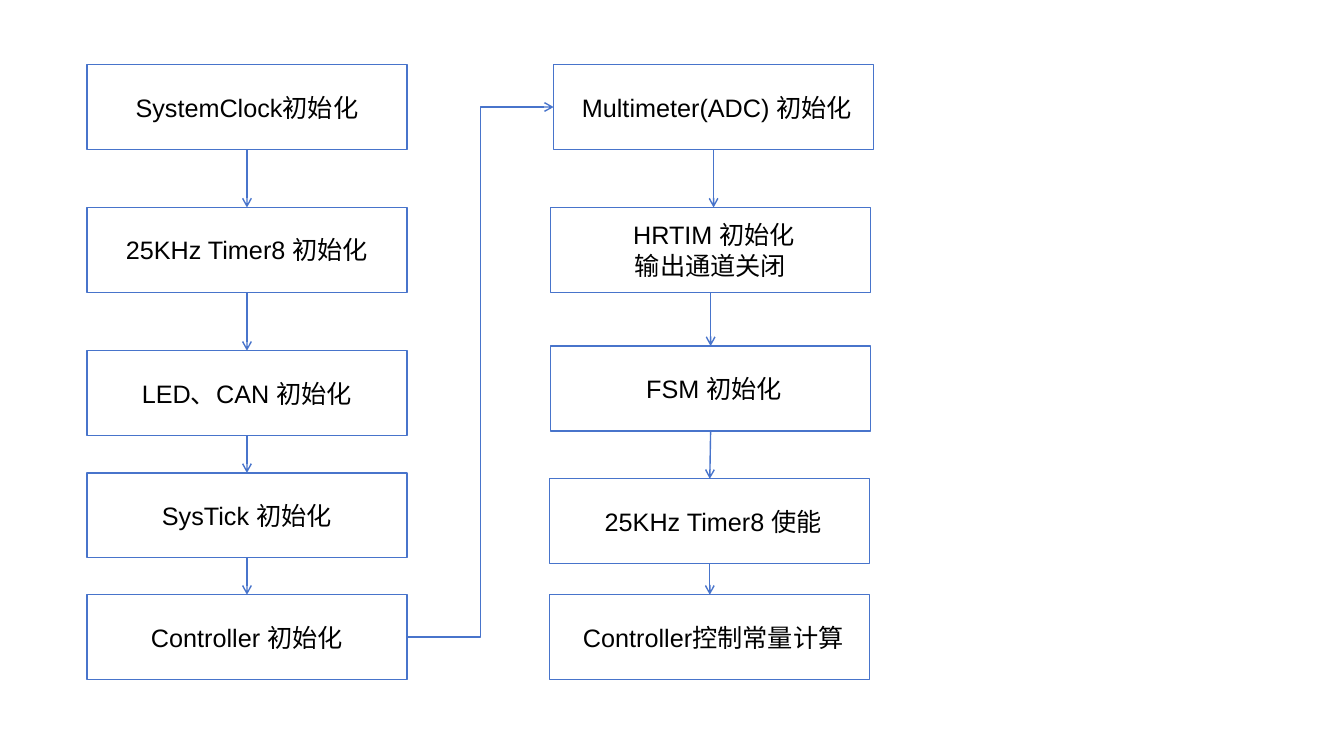
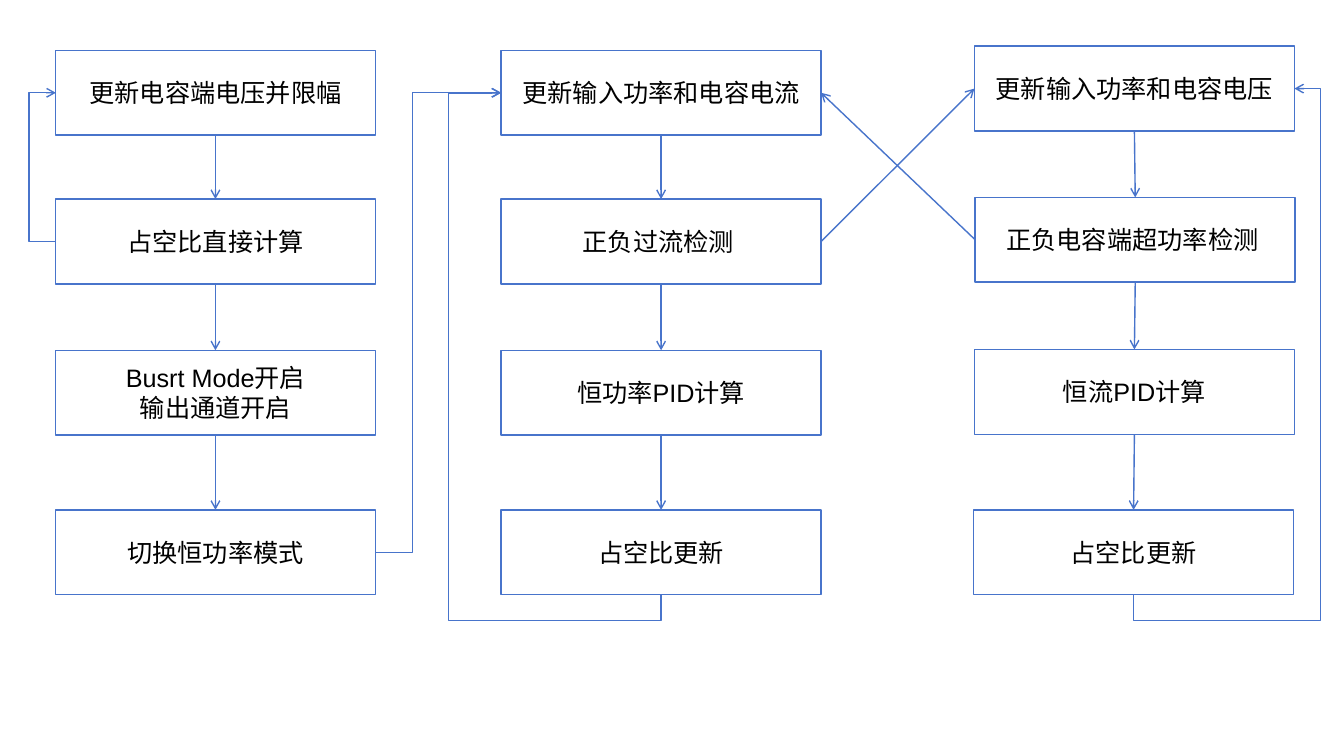
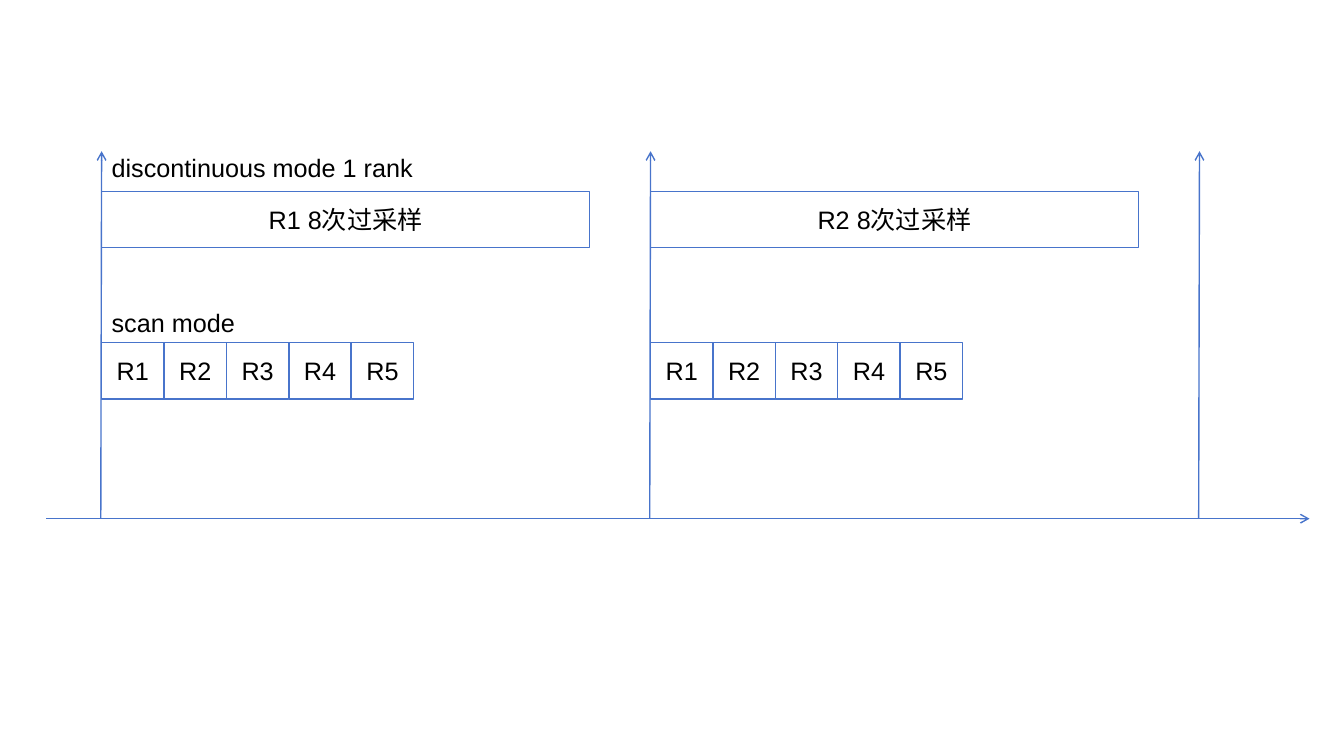
from itertools import pairwise

from lxml.etree import SubElement
from pptx import Presentation
from pptx.dml.color import RGBColor
from pptx.enum.shapes import MSO_CONNECTOR, MSO_SHAPE
from pptx.enum.text import MSO_ANCHOR, PP_ALIGN
from pptx.oxml.ns import qn
from pptx.util import Emu, Inches, Pt

TOP, LEFT, BOTTOM, RIGHT = range(4)


def color(value):
    return RGBColor.from_string(value)


def write(frame, text, size=18, font="Arial", ink="000000", align=PP_ALIGN.LEFT):
    frame.word_wrap = True
    for index, line in enumerate(text.split("\n")):
        para = frame.paragraphs[0] if index == 0 else frame.add_paragraph()
        para.alignment = align
        span = para.add_run()
        span.text = line
        span.font.size = Pt(size)
        span.font.name = font
        span.font.color.rgb = color(ink)


class Diagram:
    """Draws flow charts on a grid of 160 columns by 90 rows."""

    columns, rows = 160, 90
    stroke, weight = "4874CB", 1
    step_width, step_height = 38.1, 10.1

    def __init__(self):
        self.deck = Presentation()
        self.deck.slide_width = Inches(13.33)
        self.deck.slide_height = Inches(7.5)
        self.page = None

    def add_page(self):
        self.page = self.deck.slides.add_slide(self.deck.slide_layouts[6])

    def across(self, column):
        return Emu(round(self.deck.slide_width * column / self.columns))

    def down(self, row):
        return Emu(round(self.deck.slide_height * row / self.rows))

    def place(self, left, top, width, height):
        return self.across(left), self.down(top), self.across(width), self.down(height)

    def outline(self, line):
        line.color.rgb = color(self.stroke)
        line.width = Pt(self.weight)

    def box(self, text, left, top, width=step_width, height=step_height):
        box = self.page.shapes.add_shape(
            MSO_SHAPE.RECTANGLE, *self.place(left, top, width, height))
        box.shadow.inherit = False
        box.fill.background()
        self.outline(box.line)
        box.text_frame.vertical_anchor = MSO_ANCHOR.MIDDLE
        write(box.text_frame, text, align=PP_ALIGN.CENTER)
        return box

    def label(self, text, left, top, width, height):
        box = self.page.shapes.add_textbox(*self.place(left, top, width, height))
        write(box.text_frame, text)

    def arrow(self, start=(0, 0), end=(0, 0), kind=MSO_CONNECTOR.STRAIGHT):
        arrow = self.page.shapes.add_connector(
            kind, self.across(start[0]), self.down(start[1]),
            self.across(end[0]), self.down(end[1]))
        self.outline(arrow.line)
        SubElement(arrow.line._get_or_add_ln(), qn("a:tailEnd"), type="arrow")
        SubElement(arrow._element.spPr, qn("a:effectLst"))
        return arrow

    def link(self, source, target, leave=BOTTOM, enter=TOP, kind=MSO_CONNECTOR.STRAIGHT):
        arrow = self.arrow(kind=kind)
        arrow.begin_connect(source, leave)
        arrow.end_connect(target, enter)
        return arrow

    def elbow(self, source, target, leave, enter, column, row=None):
        arrow = self.link(source, target, leave, enter, MSO_CONNECTOR.ELBOW)
        start_x, start_y = arrow.begin_x, arrow.begin_y
        run = arrow.end_x - start_x or Pt(0.25)
        rise = arrow.end_y - start_y
        bends = [(self.across(column) - start_x) / run]
        if row is None:
            arrow.width = abs(run)
            self.flip(arrow, run < 0, rise < 0)
        else:
            bends.insert(0, (self.down(row) - start_y) / rise)
            self.turn(arrow, start_x, start_y, run, rise)
        guides = arrow._element.spPr.find(qn("a:prstGeom")).get_or_add_avLst()
        for number, bend in enumerate(bends, 1):
            SubElement(guides, qn("a:gd"), name=f"adj{number}",
                       fmla=f"val {round(bend * 100000)}")

    def flip(self, arrow, sideways, upright):
        frame = arrow._element.spPr.find(qn("a:xfrm"))
        frame.set("flipH", str(int(sideways)))
        frame.set("flipV", str(int(upright)))
        return frame

    def turn(self, arrow, start_x, start_y, run, rise):
        arrow.width, arrow.height = abs(rise), abs(run)
        arrow.left = round(start_x + run / 2 - abs(rise) / 2)
        arrow.top = round(start_y + rise / 2 - abs(run) / 2)
        arrow._element.spPr.find(qn("a:prstGeom")).set("prst", "bentConnector4")
        self.flip(arrow, rise < 0, run > 0).set("rot", str(90 * 60000))

    def chain(self, steps):
        boxes = [self.box(*step) for step in steps]
        for source, target in pairwise(boxes):
            self.link(source, target)
        return boxes


def startup_page(diagram):
    diagram.add_page()
    clocks = diagram.chain([
        ("SystemClock初始化", 10.35, 7.7),
        ("25KHz Timer8 初始化", 10.35, 24.7),
        ("LED、CAN 初始化", 10.35, 41.75),
        ("SysTick 初始化", 10.35, 56.3),
        ("Controller 初始化", 10.35, 70.8),
    ])
    multimeter = diagram.box(" Multimeter(ADC) 初始化", 65.9, 7.7)
    diagram.chain([
        (" HRTIM 初始化\n输出通道关闭", 65.55, 24.7),
        (" FSM 初始化", 65.55, 41.2),
        (" 25KHz Timer8 使能", 65.45, 57),
        (" Controller控制常量计算", 65.45, 70.8),
    ])
    diagram.arrow((84.95, 17.8), (84.95, 24.7))
    diagram.elbow(clocks[-1], multimeter, RIGHT, LEFT, 57.2)


def loop_page(diagram):
    diagram.add_page()
    rows = (6, 23.7, 41.7, 60.7)
    start_texts = ("更新电容端电压并限幅", "占空比直接计算",
                   "Busrt Mode开启\n输出通道开启", "切换恒功率模式")
    power_texts = ("更新输入功率和电容电流", "正负过流检测 ",
                   "恒功率PID计算", "占空比更新")
    start = diagram.chain([(text, 6.6, row) for text, row in zip(start_texts, rows)])
    power = diagram.chain([(text, 59.65, row) for text, row in zip(power_texts, rows)])
    current = diagram.chain([
        ("更新输入功率和电容电压", 116, 5.5),
        ("正负电容端超功率检测 ", 116.1, 23.5),
        ("恒流PID计算", 116, 41.6),
        ("占空比更新", 115.9, 60.7),
    ])
    diagram.elbow(start[1], start[0], LEFT, LEFT, 3.5)
    diagram.elbow(start[-1], power[0], RIGHT, LEFT, 49.1)
    diagram.elbow(power[-1], power[0], BOTTOM, LEFT, 53.4, 73.9)
    diagram.elbow(current[-1], current[0], BOTTOM, RIGHT, 157.2, 73.9)
    diagram.link(power[1], current[0], RIGHT, LEFT)
    diagram.link(current[1], power[0], LEFT, RIGHT)


def timing_page(diagram):
    diagram.add_page()
    origin, period, base = 12.1, 65.35, 61.75
    bar_height, rank_width = 6.7, 7.43
    diagram.arrow((5.5, base), (155.9, base))
    for index in range(3):
        left = origin + index * period
        diagram.arrow((left - 0.1, base), (left, 18))
        if index < 2:
            diagram.box(f"R{index + 1} 8次过采样", left, 22.8, 58.1, bar_height)
            for rank in range(5):
                diagram.box(f"R{rank + 1}", left + rank * rank_width, 40.8,
                            rank_width, bar_height)
    for text, top in (("discontinuous mode 1 rank", 17.6), ("scan mode", 36)):
        diagram.label(text, origin, top, 55, 4.8)


def main():
    diagram = Diagram()
    startup_page(diagram)
    loop_page(diagram)
    timing_page(diagram)
    diagram.deck.save("out.pptx")


if __name__ == "__main__":
    main()
